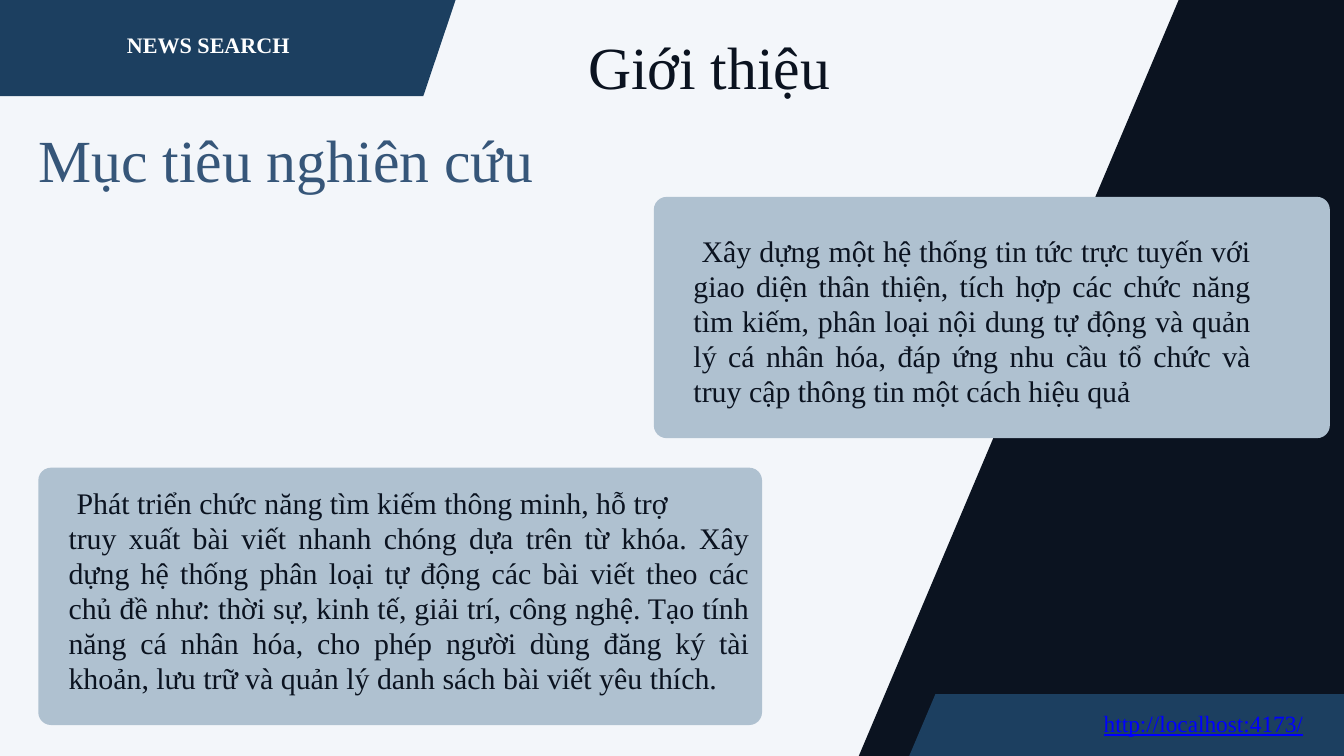
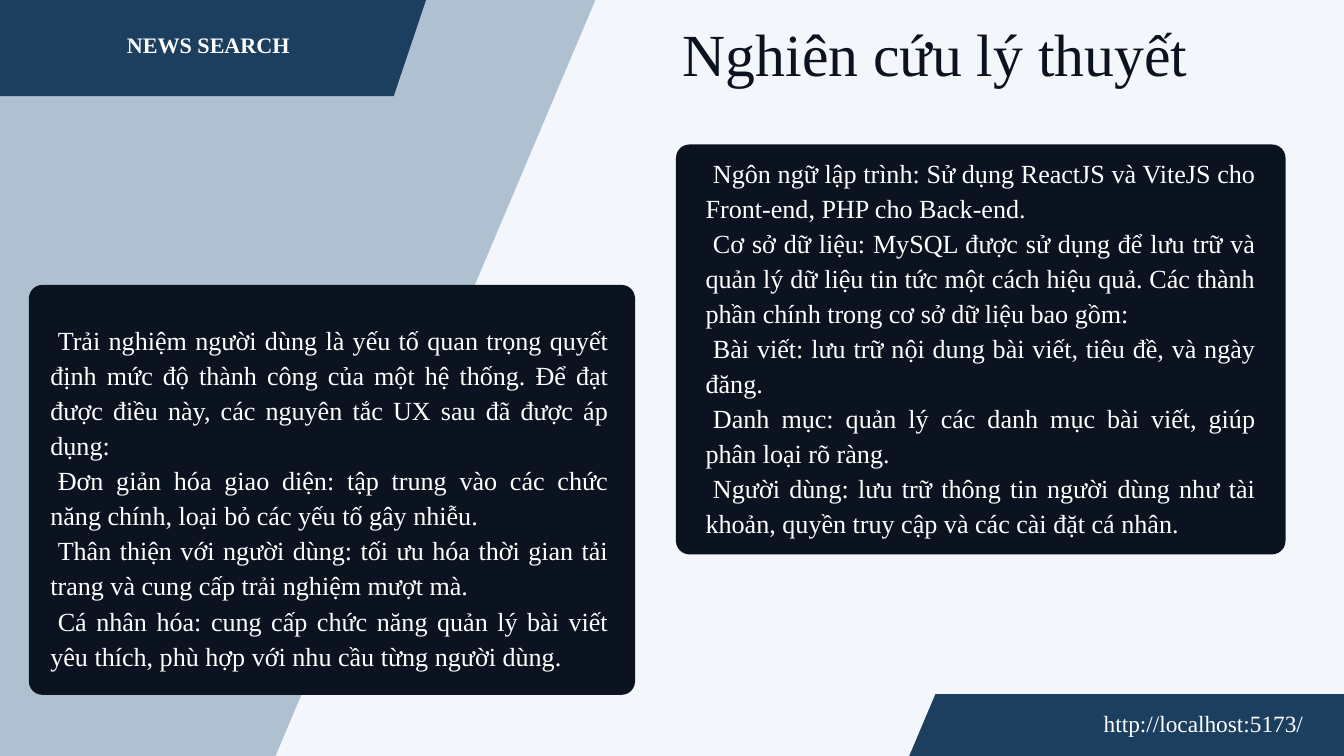
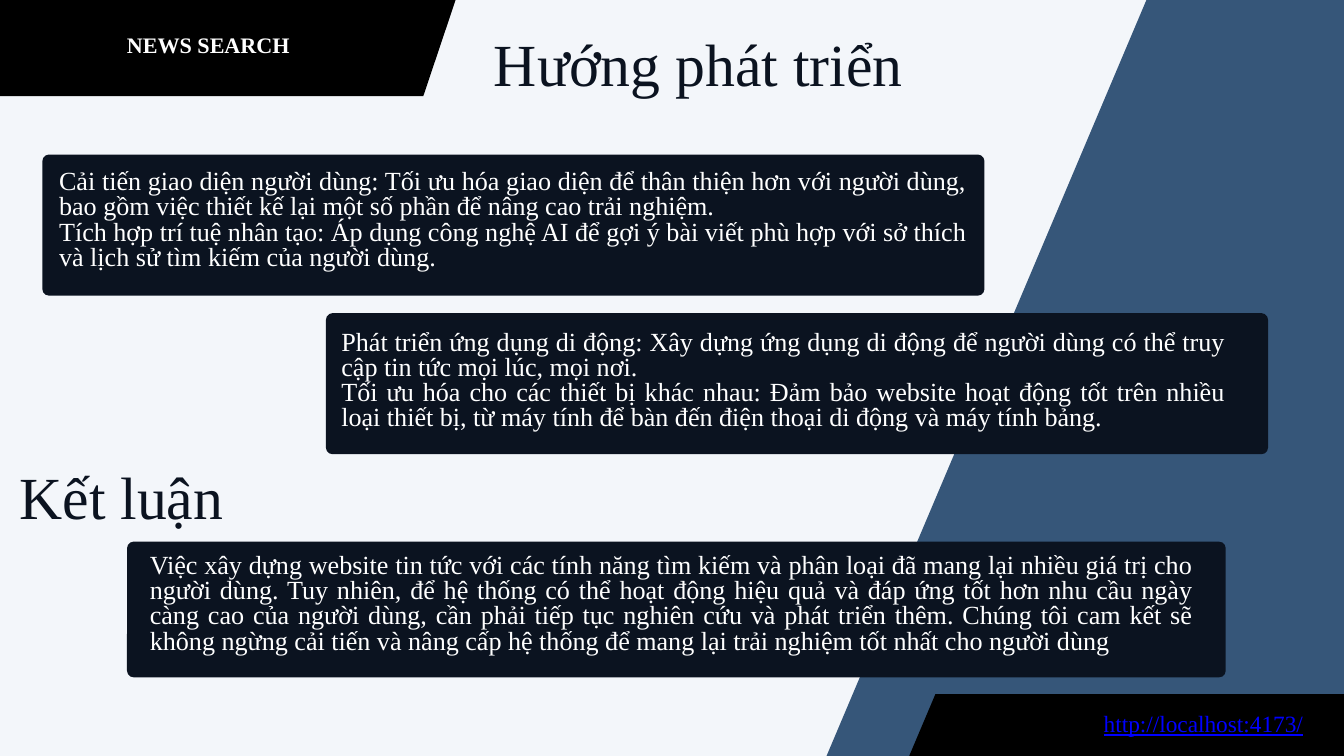
from pptx import Presentation
from pptx.dml.color import RGBColor
from pptx.enum.shapes import MSO_SHAPE
from pptx.enum.text import PP_ALIGN
from pptx.util import Inches, Pt

ROUND = MSO_SHAPE.ROUNDED_RECTANGLE
LEFT, RIGHT, JUST = PP_ALIGN.LEFT, PP_ALIGN.RIGHT, PP_ALIGN.JUSTIFY

# Shared look
FONT = "Times New Roman"
HUES = {
    "page": "F3F6FA", "night": "0B1320", "mist": "AFC1D0", "navy": "1C3F60",
    "steel": "365679", "black": "000000", "white": "FFFFFF", "link": "0000FF",
}
RGB = {name: RGBColor.from_string(code) for name, code in HUES.items()}

# Text styles: size, line pitch, alignment, bold
STYLES = {
    "title": (64, 83.2, LEFT, False),
    "brand": (23.7, 33.2, LEFT, True),
    "foot": (25, 35, RIGHT, False),
    "large": (32, 37.6, JUST, False),
    "body": (28, 37.6, JUST, False),
    "tight": (28, 27, JUST, False),
}

# Grid of 20 columns by 11.25 rows
COLS, ROWS = 20, 11.25
deck = Presentation()
deck.slide_width, deck.slide_height = Inches(20), Inches(11.25)
UNIT = deck.slide_width // COLS


def slant(page, left, top, wide, high, skew, hue):
    """Draw a band whose sides lean right by skew."""
    pen = page.shapes.build_freeform(int((left + skew) * UNIT), int(top * UNIT))
    ends = [(left + wide, top), (left + wide - skew, top + high), (left, top + high)]
    pen.add_line_segments([(int(x * UNIT), int(y * UNIT)) for x, y in ends])
    band = pen.convert_to_shape()
    band.shadow.inherit = False
    band.fill.solid()
    band.fill.fore_color.rgb = RGB[hue]
    band.line.fill.background()


def write(page, spot, lines, style, hue, dent=0, under=False):
    """Place a text box with one paragraph per line."""
    size, pitch, align, bold = STYLES[style]
    frame = page.shapes.add_textbox(*[int(n * UNIT) for n in spot]).text_frame
    frame.word_wrap = True
    frame.margin_left = frame.margin_right = 0
    frame.margin_top = frame.margin_bottom = 0
    for i, line in enumerate(lines):
        para = frame.add_paragraph() if i else frame.paragraphs[0]
        para.alignment = align
        para.line_spacing = Pt(pitch)
        run = para.add_run()
        run.text = line
        run.font.name, run.font.size = FONT, Pt(size)
        run.font.bold = bold
        run.font.underline = under
        run.font.color.rgb = RGB[hue]
        if dent and i not in FLUSH.get(line, ()):
            para._p.get_or_add_pPr().set("indent", str(int(dent * UNIT)))


# Second paragraph that carries on a sentence starts flush left
TAIL = (
    "truy xuất bài viết nhanh chóng dựa trên từ khóa. Xây dựng hệ thống phân loại "
    "tự động các bài viết theo các chủ đề như: thời sự, kinh tế, giải trí, công nghệ. "
    "Tạo tính năng cá nhân hóa, cho phép người dùng đăng ký tài khoản, lưu trữ và "
    "quản lý danh sách bài viết yêu thích."
)
FLUSH = {TAIL: (1,)}

# Per slide: wedge (left, width, hue), band hue, header left, footer,
# titles (spot, text, hue), card look (hue, radius, style, ink, indent),
# cards (card spot, text spot, lines)
PAGES = [
    {
        "wedge": (12.78, 12.2, "night"),
        "band": "navy", "head": -1.12,
        "foot": ("http://localhost:4173/", "link"),
        "titles": [
            ((8.75, 0.35, 6.89, 1.27), "Giới thiệu", "night"),
            ((0.57, 1.74, 8.74, 1.27), "Mục tiêu nghiên cứu", "steel"),
        ],
        "look": ("mist", 0.19, "large", "night", 0.12),
        "cards": [
            ((9.73, 2.93, 10.06, 3.59), (10.32, 3.47, 8.3, 2.66), [
                "Xây dựng một hệ thống tin tức trực tuyến với giao diện thân thiện, "
                "tích hợp các chức năng tìm kiếm, phân loại nội dung tự động và quản lý "
                "cá nhân hóa, đáp ứng nhu cầu tổ chức và truy cập thông tin một cách "
                "hiệu quả",
            ]),
            ((0.57, 6.96, 10.77, 3.83), (1.02, 7.22, 10.14, 3.73), [
                "Phát triển chức năng tìm kiếm thông minh, hỗ trợ",
                TAIL,
            ]),
        ],
    },
    {
        "wedge": (-6.98, 15.84, "mist"),
        "band": "navy", "head": -1.56,
        "foot": ("http://localhost:5173/", "white"),
        "titles": [((10.16, 0.16, 8.87, 1.27), "Nghiên cứu lý thuyết", "night")],
        "look": ("night", 0.2, "body", "white", 0.11),
        "cards": [
            ((0.43, 4.24, 9.02, 6.1), (0.75, 4.77, 8.3, 5.82), [
                "Trải nghiệm người dùng là yếu tố quan trọng quyết định mức độ thành "
                "công của một hệ thống. Để đạt được điều này, các nguyên tắc UX sau đã "
                "được áp dụng:",
                "Đơn giản hóa giao diện: tập trung vào các chức năng chính, loại bỏ các "
                "yếu tố gây nhiễu.",
                "Thân thiện với người dùng: tối ưu hóa thời gian tải trang và cung cấp "
                "trải nghiệm mượt mà.",
                "Cá nhân hóa: cung cấp chức năng quản lý bài viết yêu thích, phù hợp với "
                "nhu cầu từng người dùng.",
            ]),
            ((10.06, 2.15, 9.07, 6.1), (10.5, 2.28, 8.18, 6.35), [
                "Ngôn ngữ lập trình: Sử dụng ReactJS và ViteJS cho Front-end, PHP cho "
                "Back-end.",
                "Cơ sở dữ liệu: MySQL được sử dụng để lưu trữ và quản lý dữ liệu tin tức "
                "một cách hiệu quả. Các thành phần chính trong cơ sở dữ liệu bao gồm:",
                "Bài viết: lưu trữ nội dung bài viết, tiêu đề, và ngày đăng.",
                "Danh mục: quản lý các danh mục bài viết, giúp phân loại rõ ràng.",
                "Người dùng: lưu trữ thông tin người dùng như tài khoản, quyền truy cập "
                "và các cài đặt cá nhân.",
            ]),
        ],
    },
    {
        "wedge": (12.3, 15.84, "steel"),
        "band": "black", "head": -1.12,
        "foot": ("http://localhost:4173/", "link"),
        "titles": [
            ((7.35, 0.31, 7.3, 1.27), "Hướng phát triển", "night"),
            ((0.29, 6.75, 4.09, 1.27), "Kết luận", "night"),
        ],
        "look": ("night", 0.1, "tight", "white", 0),
        "cards": [
            ((0.63, 2.3, 14.02, 2.1), (0.88, 2.54, 13.5, 1.51), [
                "Cải tiến giao diện người dùng: Tối ưu hóa giao diện để thân thiện hơn "
                "với người dùng, bao gồm việc thiết kế lại một số phần để nâng cao trải "
                "nghiệm.",
                "Tích hợp trí tuệ nhân tạo: Áp dụng công nghệ AI để gợi ý bài viết phù "
                "hợp với sở thích và lịch sử tìm kiếm của người dùng.",
            ]),
            ((4.85, 4.66, 14.02, 2.1), (5.08, 4.93, 13.15, 1.51), [
                "Phát triển ứng dụng di động: Xây dựng ứng dụng di động để người dùng có "
                "thể truy cập tin tức mọi lúc, mọi nơi.",
                "Tối ưu hóa cho các thiết bị khác nhau: Đảm bảo website hoạt động tốt "
                "trên nhiều loại thiết bị, từ máy tính để bàn đến điện thoại di động và "
                "máy tính bảng.",
            ]),
            ((1.89, 8.06, 16.35, 2.02), (2.23, 8.25, 15.52, 1.51), [
                "Việc xây dựng website tin tức với các tính năng tìm kiếm và phân loại "
                "đã mang lại nhiều giá trị cho người dùng. Tuy nhiên, để hệ thống có thể "
                "hoạt động hiệu quả và đáp ứng tốt hơn nhu cầu ngày càng cao của người "
                "dùng, cần phải tiếp tục nghiên cứu và phát triển thêm. Chúng tôi cam "
                "kết sẽ không ngừng cải tiến và nâng cấp hệ thống để mang lại trải "
                "nghiệm tốt nhất cho người dùng",
            ]),
        ],
    },
]

for plan in PAGES:
    page = deck.slides.add_slide(deck.slide_layouts[6])
    page.background.fill.solid()
    page.background.fill.fore_color.rgb = RGB["page"]

    # Wedge, header band and footer band
    left, wide, hue = plan["wedge"]
    slant(page, left, 0, wide, ROWS, 4.76, hue)
    slant(page, plan["head"], 0, 7.9, 1.43, 0.48, plan["band"])
    slant(page, 13.53, ROWS - 0.92, 7.2, 0.92, 0.39, plan["band"])
    write(page, (1.89, 0.4, 3.77, 0.51), ["NEWS SEARCH"], "brand", "white")
    url, ink = plan["foot"]
    write(page, (14.39, 10.48, 5, 0.45), [url], "foot", ink, under=ink == "link")

    # Titles
    for spot, text, hue in plan["titles"]:
        write(page, spot, [text], "title", hue)

    # Cards with their text
    fill, curve, style, ink, dent = plan["look"]
    for spot, area, lines in plan["cards"]:
        card = page.shapes.add_shape(ROUND, *[int(n * UNIT) for n in spot])
        card.adjustments[0] = curve / min(spot[2:])
        card.shadow.inherit = False
        card.fill.solid()
        card.fill.fore_color.rgb = RGB[fill]
        card.line.fill.background()
        write(page, area, lines, style, ink, dent)

deck.save("out.pptx")
